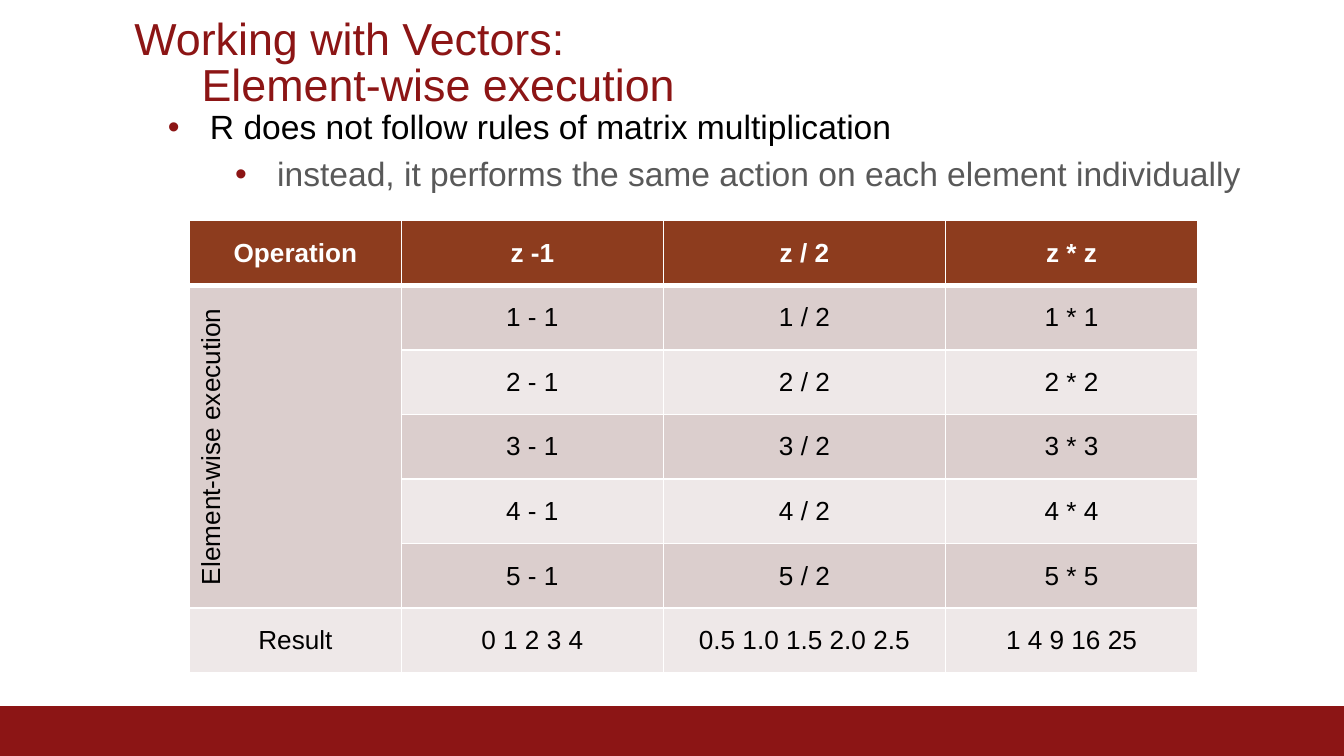
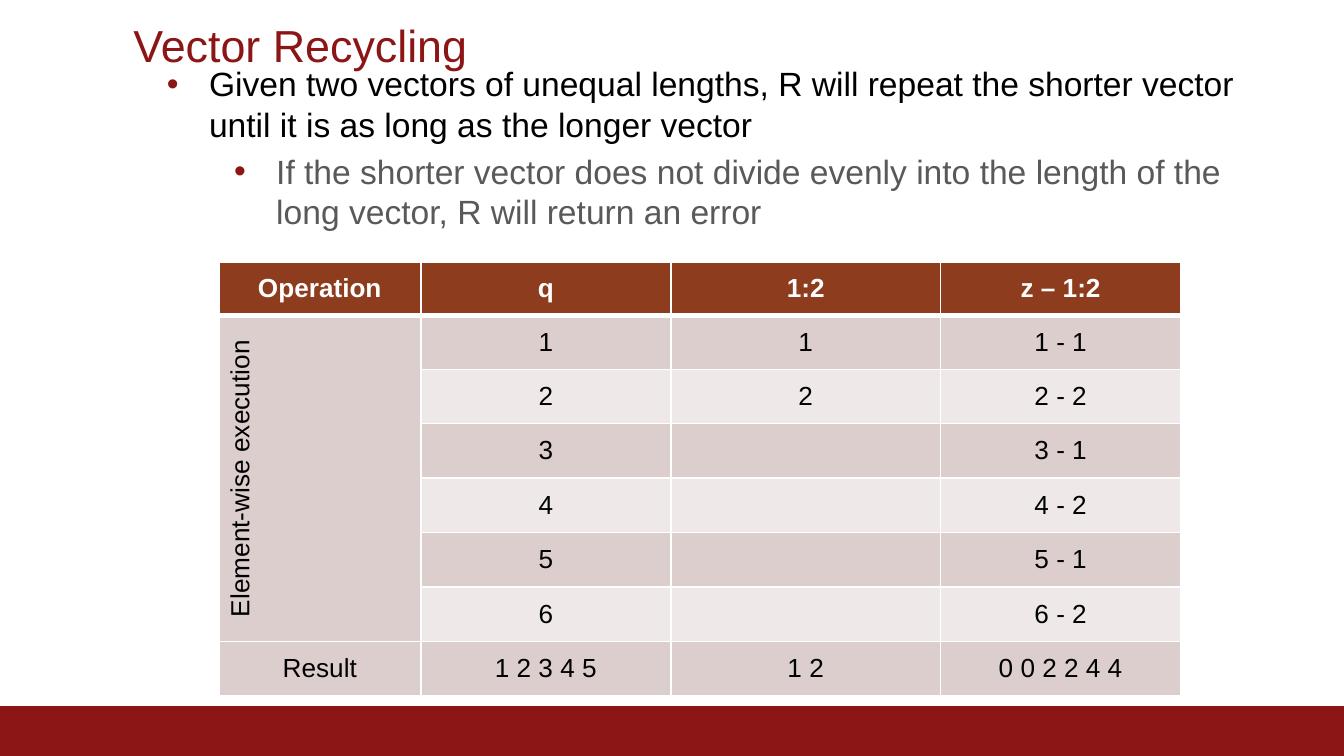
from collections import namedtuple
from dataclasses import dataclass

from lxml import etree
from pptx import Presentation
from pptx.dml.color import RGBColor
from pptx.enum import shapes, text
from pptx.oxml import ns
from pptx.util import Pt

Box = namedtuple("Box", "left top width height")


@dataclass(frozen=True)
class Theme:
    font: str = "Arial"
    cardinal: str = "8C1515"
    black: str = "000000"
    gray: str = "595959"
    white: str = "FFFFFF"
    header: str = "8D3C1E"
    dark_band: str = "DBCECD"
    light_band: str = "EEE8E8"
    title_size: float = 24
    body_size: float = 18
    table_size: float = 14


THEME = Theme()
SLIDE = Box(0, 0, 720, 405)
BAND = Box(0, 378.5, 720.5, 27)
COLUMN_SHARES = (0.21, 0.26, 0.28, 0.25)
BULLET_HANG = 22.5
BULLET_INDENTS = (40.5, 76.5)


def in_points(box):
    return [Pt(length) for length in box]


def add_xml(parent, tag, **attributes):
    return etree.SubElement(parent, ns.qn(tag), attributes)


def style_runs(paragraph, size, color, bold=False):
    for run in paragraph.runs:
        run.font.name = THEME.font
        run.font.size = Pt(size)
        run.font.bold = bold
        run.font.color.rgb = RGBColor.from_string(color)


def set_frame(text_frame, right_margin=0):
    text_frame.word_wrap = True
    text_frame.auto_size = text.MSO_AUTO_SIZE.NONE
    text_frame.margin_left = 0
    text_frame.margin_right = Pt(right_margin)
    text_frame.margin_top = text_frame.margin_bottom = Pt(3.6)


# Band along the foot of every slide
def add_band(slide, box):
    band = slide.shapes.add_shape(shapes.MSO_SHAPE.RECTANGLE, *in_points(box))
    band.shadow.inherit = False
    band.fill.solid()
    band.fill.fore_color.rgb = RGBColor.from_string(THEME.cardinal)
    band.line.color.rgb = RGBColor.from_string(THEME.cardinal)
    band.line.width = Pt(0.75)


def set_title(slide, box, wording):
    title = slide.shapes.title
    title.left, title.top, title.width, title.height = in_points(box)
    frame = title.text_frame
    frame.text = wording
    set_frame(frame, right_margin=7.2)
    frame.vertical_anchor = text.MSO_ANCHOR.BOTTOM
    paragraph = frame.paragraphs[0]
    paragraph.alignment = text.PP_ALIGN.LEFT
    paragraph.line_spacing = 0.85
    style_runs(paragraph, THEME.title_size, THEME.cardinal)


# Two bullets, the second one level deeper and gray
def add_bullets(slide, box, wordings):
    frame = slide.shapes.add_textbox(*in_points(box)).text_frame
    frame.text = "\n".join(wordings)
    set_frame(frame)
    colors = (THEME.black, THEME.gray)
    for level, paragraph in enumerate(frame.paragraphs):
        paragraph.level = level
        paragraph.space_before = Pt(3.6)
        properties = paragraph._p.get_or_add_pPr()
        properties.set("marL", str(Pt(BULLET_INDENTS[level])))
        properties.set("indent", str(-Pt(BULLET_HANG)))
        add_xml(add_xml(properties, "a:buClr"), "a:srgbClr", val=THEME.cardinal)
        add_xml(properties, "a:buFont", typeface=THEME.font)
        add_xml(properties, "a:buChar", char="•")
        style_runs(paragraph, THEME.body_size, colors[level])


def set_borders(cell, top, bottom):
    properties = cell._tc.get_or_add_tcPr()
    widths = {"a:lnL": 1, "a:lnR": 1, "a:lnT": top, "a:lnB": bottom}
    for tag, width in widths.items():
        line = add_xml(properties, tag, w=str(Pt(width)))
        add_xml(add_xml(line, "a:solidFill"), "a:srgbClr", val=THEME.white)


def format_cell(cell, row):
    is_header = row == 0
    # Borders come before the fill in the cell's properties
    set_borders(cell, top=3 if row == 1 else 1, bottom=3 if is_header else 1)
    band = THEME.dark_band if row % 2 else THEME.light_band
    cell.fill.solid()
    cell.fill.fore_color.rgb = RGBColor.from_string(THEME.header if is_header else band)
    cell.vertical_anchor = text.MSO_ANCHOR.MIDDLE
    paragraph = cell.text_frame.paragraphs[0]
    paragraph.alignment = text.PP_ALIGN.CENTER
    color = THEME.white if is_header else THEME.black
    style_runs(paragraph, THEME.table_size, color, is_header)


# Header, one row per element, and the result; the label spans the elements
def add_operation_table(slide, box, headings, elements, results):
    rows = [["Operation", *headings]]
    rows += [["", *element] for element in elements]
    rows += [["Result", *results]]
    rows[1][0] = "Element-wise execution"
    table = slide.shapes.add_table(len(rows), len(rows[0]), *in_points(box)).table
    table.horz_banding = False
    for column, share in zip(table.columns, COLUMN_SHARES):
        column.width = Pt(box.width * share)
    for row, wordings in enumerate(rows):
        table.rows[row].height = Pt(box.height / len(rows))
        for column, wording in enumerate(wordings):
            cell = table.cell(row, column)
            cell.text = wording
            format_cell(cell, row)
    label = table.cell(1, 0)
    label.merge(table.cell(len(elements), 0))
    label._tc.get_or_add_tcPr().set("vert", "vert270")


def add_vector_slide(presentation, title, title_box, bullets, bullet_box,
                     table_box, headings, elements, results):
    slide = presentation.slides.add_slide(presentation.slide_layouts[5])
    add_band(slide, BAND)
    set_title(slide, title_box, title)
    add_bullets(slide, bullet_box, bullets)
    add_operation_table(slide, table_box, headings, elements, results)


def main():
    presentation = Presentation()
    presentation.slide_width = Pt(SLIDE.width)
    presentation.slide_height = Pt(SLIDE.height)

    add_vector_slide(
        presentation,
        title="Working with Vectors:\v\tElement-wise execution",
        title_box=Box(72, 25, 607, 38),
        bullets=("R does not follow rules of matrix multiplication",
                 "instead, it performs the same action on each element individually"),
        bullet_box=Box(72, 53.4, 607, 315.4),
        table_box=Box(101.6, 118.2, 540, 242.4),
        headings=("z -1", "z / 2", "z * z"),
        elements=[(f"{n} - 1", f"{n} / 2", f"{n} * {n}") for n in range(1, 6)],
        results=("0 1 2 3 4", "0.5 1.0 1.5 2.0 2.5", "1 4 9 16 25"),
    )

    add_vector_slide(
        presentation,
        title="Vector Recycling",
        title_box=Box(71.5, 3.8, 607, 38),
        bullets=("Given two vectors of unequal lengths, R will repeat the shorter "
                 "vector until it is as long as the longer vector",
                 "If the shorter vector does not divide evenly into the length of "
                 "the long vector, R will return an error"),
        bullet_box=Box(71.5, 30.4, 607, 315.4),
        table_box=Box(117.2, 140.3, 515.5, 231.2),
        headings=("q", "1:2", "z – 1:2"),
        # The shorter vector shows once, then repeats in the subtraction
        elements=[(str(n), str(n) if n <= 2 else "", f"{n} - {(n - 1) % 2 + 1}")
                  for n in range(1, 7)],
        results=("1 2 3 4 5", "1 2", "0 0 2 2 4 4"),
    )

    presentation.save("out.pptx")


if __name__ == "__main__":
    main()
